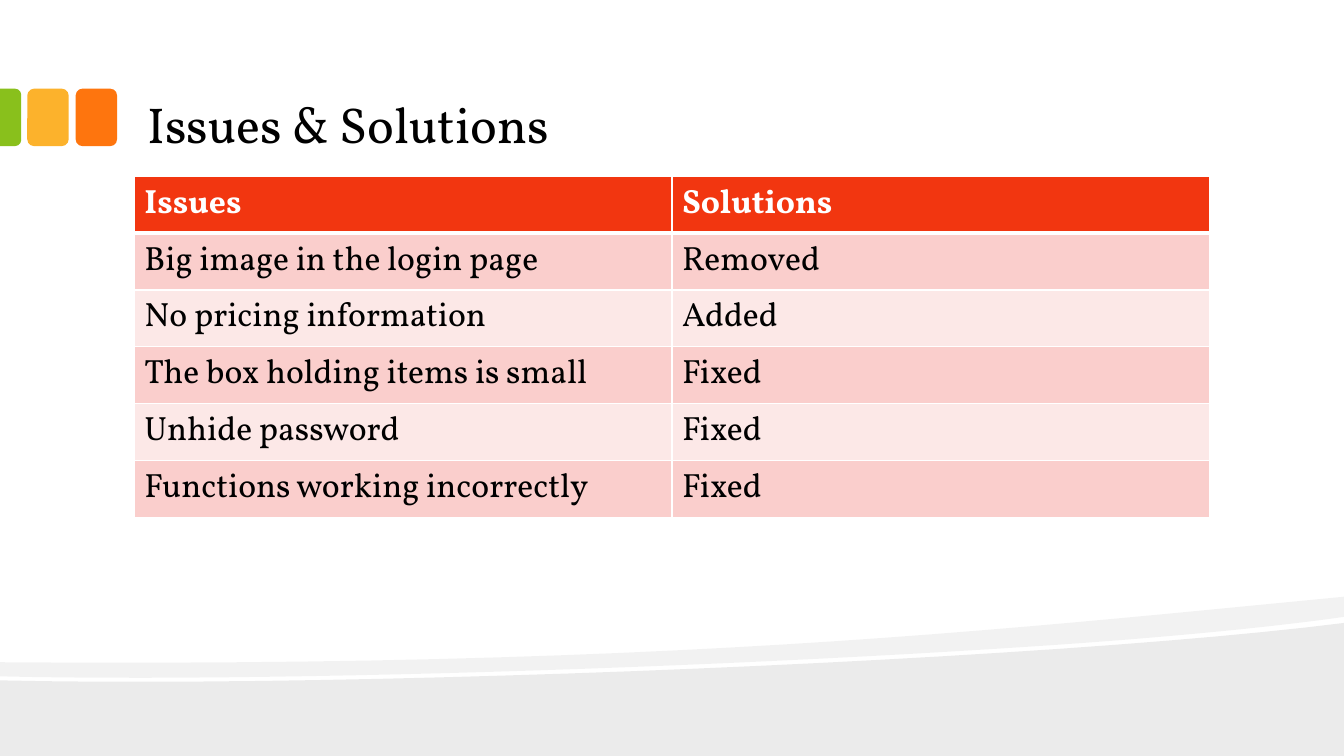
from typing import NamedTuple

from lxml.etree import SubElement
from pptx import Presentation
from pptx.dml.color import RGBColor
from pptx.enum.shapes import MSO_SHAPE as Preset
from pptx.enum.text import MSO_ANCHOR as Anchor, PP_ALIGN as Align
from pptx.oxml.ns import qn
from pptx.util import Inches, Pt

WIDTH, HEIGHT = Inches(13.33), Inches(7.5)
FONT = "Vollkorn"
COLOURS = {
    "black": "000000",
    "white": "FFFFFF",
    "green": "89C01C",
    "amber": "FCB22C",
    "orange": "FE750E",
    "header": "F23610",
    "odd_row": "FACECC",
    "even_row": "FCE8E7",
}
ROWS = [
    ("Issues", "Solutions"),
    ("Big image in the login page", "Removed"),
    ("No pricing information", "Added"),
    ("The box holding items is small", "Fixed"),
    ("Unhide password", "Fixed"),
    ("Functions working incorrectly", "Fixed"),
]
CURVE_STEPS = 24


class Point(NamedTuple):
    """Percentages of the slide's width and height."""
    x: float
    y: float


class Curve(NamedTuple):
    start: Point
    control_1: Point
    control_2: Point
    end: Point


class Wave(NamedTuple):
    curves: list[Curve]
    corners: list[Point]
    opacity: int


class Tab(NamedTuple):
    colour: str
    left: float
    width: float
    cut_left: bool = False


WAVES = [
    Wave([Curve(Point(0, 90), Point(26.41, 91.07), Point(78.17, 87.33), Point(100, 82.4))],
         [Point(100, 100), Point(0, 100)], 8),
    Wave([Curve(Point(0, 87.6), Point(48.91, 88.27), Point(72.84, 83.6), Point(100, 78.93)),
          Curve(Point(100, 81.6), Point(94.15, 83.07), Point(86.2, 84.4), Point(77.19, 85.47)),
          Curve(Point(77.19, 85.47), Point(52.36, 88.4), Point(19.35, 90.27), Point(0, 89.47))],
         [], 5),
]
TABS = [
    Tab("orange", 5.63, 3.08),
    Tab("amber", 2.03, 3.08),
    Tab("green", 0, 1.58, cut_left=True),
]
TAB_TOP, TAB_HEIGHT = 11.73, 7.6


def across(percent: float) -> int:
    return round(WIDTH * percent / 100)


def down(percent: float) -> int:
    return round(HEIGHT * percent / 100)


def colour_of(name: str) -> RGBColor:
    return RGBColor.from_string(COLOURS[name])


def paint(shape, colour: str) -> None:
    shape.shadow.inherit = False
    shape.fill.solid()
    shape.fill.fore_color.rgb = colour_of(colour)
    shape.line.fill.background()


def sample(curve: Curve) -> list[tuple[int, int]]:
    """Follow a cubic Bezier curve with short straight steps."""
    points = []
    for step in range(CURVE_STEPS + 1):
        t = step / CURVE_STEPS
        weights = ((1 - t) ** 3, 3 * t * (1 - t) ** 2, 3 * t ** 2 * (1 - t), t ** 3)
        points.append((across(sum(w * p.x for w, p in zip(weights, curve))),
                       down(sum(w * p.y for w, p in zip(weights, curve)))))
    return points


def draw_wave(slide, wave: Wave) -> None:
    points = [point for curve in wave.curves for point in sample(curve)]
    points += [(across(corner.x), down(corner.y)) for corner in wave.corners]
    builder = slide.shapes.build_freeform(*points[0])
    builder.add_line_segments(points[1:], close=True)
    shape = builder.convert_to_shape()
    paint(shape, "black")
    colour = shape.fill._xPr.find(qn("a:solidFill"))[0]
    SubElement(colour, qn("a:alpha"), val=str(wave.opacity * 1000))


def draw_tab(slide, tab: Tab) -> None:
    left, top = across(tab.left), down(TAB_TOP)
    width, height = across(tab.width), down(TAB_HEIGHT)
    if tab.cut_left:
        # A quarter turn swaps the sides around the same centre.
        offset = (height - width) // 2
        shape = slide.shapes.add_shape(Preset.ROUND_2_SAME_RECTANGLE,
                                       left - offset, top + offset, height, width)
        shape.rotation = 90
        shape.adjustments[0] = 0.29
    else:
        shape = slide.shapes.add_shape(Preset.ROUNDED_RECTANGLE, left, top, width, height)
    paint(shape, tab.colour)


def write_title(slide, text: str) -> None:
    title = slide.shapes.title
    title.left, title.top = across(10), down(2.27)
    title.width, title.height = across(80), down(18.93)
    frame = title.text_frame
    frame.text = text
    frame.word_wrap = True
    frame.vertical_anchor = Anchor.BOTTOM
    frame.margin_left = frame.margin_right = Inches(0.13)
    frame.margin_top = frame.margin_bottom = Inches(0.07)
    format_paragraph(frame.paragraphs[0], 36, "black")


def format_paragraph(paragraph, size: int, colour: str, bold: bool = False) -> None:
    paragraph.alignment = Align.LEFT
    paragraph.font.name = FONT
    paragraph.font.size = Pt(size)
    paragraph.font.bold = bold
    paragraph.font.color.rgb = colour_of(colour)


def add_borders(cell, top: int, bottom: int) -> None:
    properties = cell._tc.get_or_add_tcPr()
    for side, points in (("L", 1), ("R", 1), ("T", top), ("B", bottom)):
        line = SubElement(properties, qn(f"a:ln{side}"), w=str(Pt(points)))
        fill = SubElement(line, qn("a:solidFill"))
        SubElement(fill, qn("a:srgbClr"), val=COLOURS["white"])


def draw_table(slide, rows: list[tuple[str, str]]) -> None:
    table = slide.shapes.add_table(len(rows), len(rows[0]), across(10), down(23.33),
                                   across(80), down(40)).table
    for row, texts in enumerate(rows):
        is_header = row == 0
        fill = "header" if is_header else "odd_row" if row % 2 else "even_row"
        for column, text in enumerate(texts):
            cell = table.cell(row, column)
            cell.text = text
            format_paragraph(cell.text_frame.paragraphs[0], 24,
                             "white" if is_header else "black", is_header)
            add_borders(cell, top=3 if row == 1 else 1, bottom=3 if is_header else 1)
            cell.fill.solid()
            cell.fill.fore_color.rgb = colour_of(fill)


def main() -> None:
    presentation = Presentation()
    presentation.slide_width, presentation.slide_height = WIDTH, HEIGHT
    slide = presentation.slides.add_slide(presentation.slide_layouts[5])
    for wave in WAVES:
        draw_wave(slide, wave)
    for tab in TABS:
        draw_tab(slide, tab)
    write_title(slide, "Issues & Solutions")
    draw_table(slide, ROWS)
    presentation.save("out.pptx")


if __name__ == "__main__":
    main()
